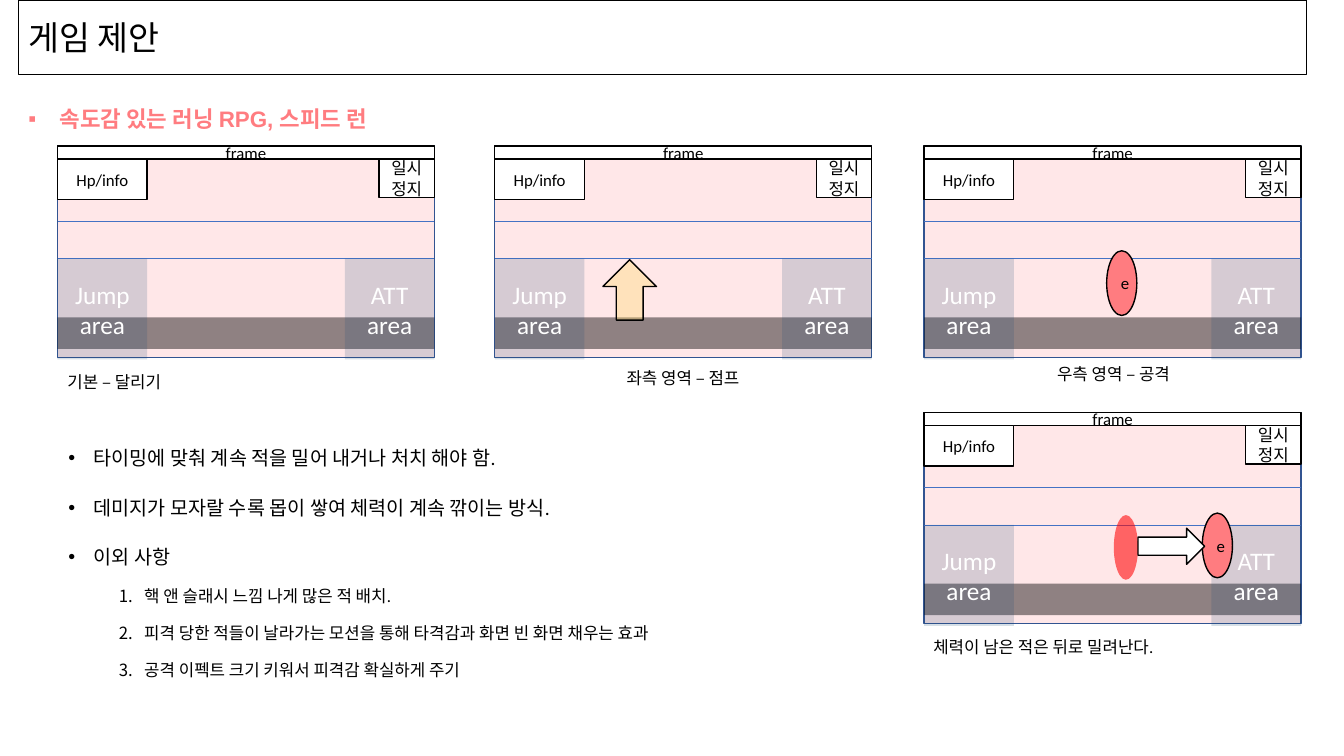
from lxml.etree import SubElement
from pptx import Presentation
from pptx.dml.color import RGBColor
from pptx.enum.shapes import MSO_CONNECTOR, MSO_SHAPE
from pptx.enum.text import MSO_ANCHOR, MSO_AUTO_SIZE, PP_ALIGN
from pptx.oxml.ns import qn
from pptx.util import Cm, Pt

HUE = {
    "black": "000000", "white": "FFFFFF", "pink": "FF7C80", "red": "FF0000",
    "gold": "FFD966", "navy": "1F4E79", "edge": "325491", "lane": "4472C4",
}
WIDE, HIGH = 9.5, 5.33   # one game screen
SIDE = 2.26              # info box and touch areas
PAUSE = 1.4
SCREENS = [(1.45, 3.68), (12.47, 3.68), (23.29, 3.68), (23.29, 10.39)]
NOTES = [
    ("기본 – 달리기", 1.45, 8.99),
    ("좌측 영역 – 점프", 15.54, 8.89),
    ("우측 영역 – 공격", 26.39, 8.79),
    ("체력이 남은 적은 뒤로 밀려난다.", 23.27, 15.67),
]
POINTS = [
    "타이밍에 맞춰 계속 적을 밀어 내거나 처치 해야 함.",
    "데미지가 모자랄 수록 몹이 쌓여 체력이 계속 깎이는 방식.",
    "이외 사항",
]
STEPS = [
    "핵 앤 슬래시 느낌 나게 많은 적 배치.",
    "피격 당한 적들이 날라가는 모션을 통해 타격감과 화면 빈 화면 채우는 효과",
    "공격 이펙트 크기 키워서 피격감 확실하게 주기",
]


def rgb(name):
    return RGBColor.from_string(HUE[name])


def style(para, size, color="black", face="Calibri", bold=False):
    for run in para.runs:
        font = run.font
        font.size, font.name, font.bold = Pt(size), face, bold
        font.color.rgb = rgb(color)


def place(shape, x, y, w, h):
    shape.left, shape.top, shape.width, shape.height = Cm(x), Cm(y), Cm(w), Cm(h)


def bullet(para, left, mark=None):
    """Hang a bullet 0.25 in or so deep; without a mark, number the paragraph."""
    props = para._p.get_or_add_pPr()
    hang = 0.79 if mark == "▪" else 0.64
    props.set("marL", str(Cm(left)))
    props.set("indent", str(-Cm(hang)))
    SubElement(props, qn("a:buFont"), typeface="Arial")
    if mark:
        SubElement(props, qn("a:buChar"), char=mark)
    else:
        SubElement(props, qn("a:buAutoNum"), type="arabicPeriod")


def draw(slide, kind, x, y, w, h, fill, line="black", clear=None,
         text="", size=12, color="black"):
    """Add a preset shape; clear is its opacity in percent."""
    shape = slide.shapes.add_shape(kind, Cm(x), Cm(y), Cm(w), Cm(h))
    shape.shadow.inherit = False
    shape.fill.solid()
    shape.fill.fore_color.rgb = rgb(fill)
    if clear:
        tint = shape.fill._xPr.find(qn("a:solidFill"))[0]
        SubElement(tint, qn("a:alpha"), val=str(clear * 1000))
    if line:
        shape.line.color.rgb = rgb(line)
        shape.line.width = Pt(1)
    else:
        shape.line.fill.background()
    if text:
        frame = shape.text_frame
        frame.text = text
        frame.vertical_anchor = MSO_ANCHOR.MIDDLE
        for para in frame.paragraphs:
            para.alignment = PP_ALIGN.CENTER
            style(para, size, color)
    return shape


def lane(slide, x, y):
    line = slide.shapes.add_connector(
        MSO_CONNECTOR.STRAIGHT, Cm(x), Cm(y), Cm(x + WIDE), Cm(y))
    line.line.color.rgb = rgb("lane")
    line.line.width = Pt(0.5)
    SubElement(line._element.spPr, qn("a:effectLst"))


def screen(slide, x, y):
    """Draw one mock-up of the game screen."""
    box = MSO_SHAPE.RECTANGLE
    draw(slide, box, x, y, WIDE, HIGH, "pink", "edge", 18)
    draw(slide, box, x, y + 4.32, WIDE, 0.79, "black", None, 44)
    for drop in (2.84, 1.9):
        lane(slide, x, y + drop)
    draw(slide, box, x, y, WIDE, 0.33, "white", text="frame")
    draw(slide, box, x, y + 0.33, SIDE, 1.02, "white", text="Hp/info")
    for word, shift in (("Jump", 0), ("ATT", WIDE - SIDE)):
        draw(slide, box, x + shift, y + 2.84, SIDE, 2.54, "navy", None, 18,
             word + "\narea", 18, "white")
    draw(slide, box, x + WIDE - PAUSE, y + 0.33, PAUSE, 0.97, "white",
         text="일시정지")


def label(slide, text, x, y, w, h, size=12):
    box = slide.shapes.add_textbox(Cm(x), Cm(y), Cm(w), Cm(h))
    frame = box.text_frame
    frame.word_wrap = True
    frame.text = text
    style(frame.paragraphs[0], size)
    return frame


def header(slide):
    draw(slide, MSO_SHAPE.RECTANGLE, 0.46, 0, 32.46, 1.88, "white")
    frame = label(slide, "게임 제안", 0.46, 0, 31.42, 1.88, 24)
    frame.vertical_anchor = MSO_ANCHOR.MIDDLE


def title(slide):
    shape = slide.shapes.title
    place(shape, 0.46, 2.39, 32.46, 1.3)
    frame = shape.text_frame
    frame.text = "속도감 있는 러닝 RPG, 스피드 런"
    frame.auto_size = MSO_AUTO_SIZE.NONE
    frame.vertical_anchor = MSO_ANCHOR.MIDDLE
    para = frame.paragraphs[0]
    bullet(para, 0.79, "▪")
    para.alignment = PP_ALIGN.LEFT
    para.line_spacing = 0.9
    style(para, 16, "pink", "Arial", True)


def points(slide):
    body = slide.placeholders[1]
    place(body, 1.47, 10.82, 20.5, 7.77)
    frame = body.text_frame
    frame.text = "\n".join(POINTS + STEPS)
    frame.auto_size = MSO_AUTO_SIZE.NONE
    for n, para in enumerate(frame.paragraphs):
        main_point = n < len(POINTS)
        if main_point:
            bullet(para, 0.64, "•")
        else:
            para.level = 1
            bullet(para, 1.91)
        para.line_spacing = 1.5
        para.space_before = Pt(0 if n == 0 else 10 if main_point else 5)
        style(para, 14 if main_point else 12)


def action(slide):
    """Draw the jump, the enemy and its push back."""
    jump = draw(slide, MSO_SHAPE.RIGHT_ARROW, 15.11, 6.63, 1.52, 1.35,
                "gold", clear=34)
    jump.rotation = 270
    oval = MSO_SHAPE.OVAL
    draw(slide, oval, 28.07, 12.98, 0.61, 1.63, "red", None, 57)
    for x, y in ((27.89, 6.32), (30.3, 12.93)):
        draw(slide, oval, x, y, 0.76, 1.63, "pink", text="e")
    draw(slide, MSO_SHAPE.RIGHT_ARROW, 28.68, 13.31, 1.68, 0.91, "white")


def main():
    deck = Presentation()
    deck.slide_width, deck.slide_height = Cm(33.87), Cm(19.05)
    slide = deck.slides.add_slide(deck.slide_layouts[1])
    header(slide)
    title(slide)
    points(slide)
    for x, y in SCREENS:
        screen(slide, x, y)
    for text, x, y in NOTES:
        frame = label(slide, text, x, y, min(9.98, 33.8 - x), 1.3)
        frame.paragraphs[0].line_spacing = 1.5
    action(slide)
    deck.save("out.pptx")


if __name__ == "__main__":
    main()
